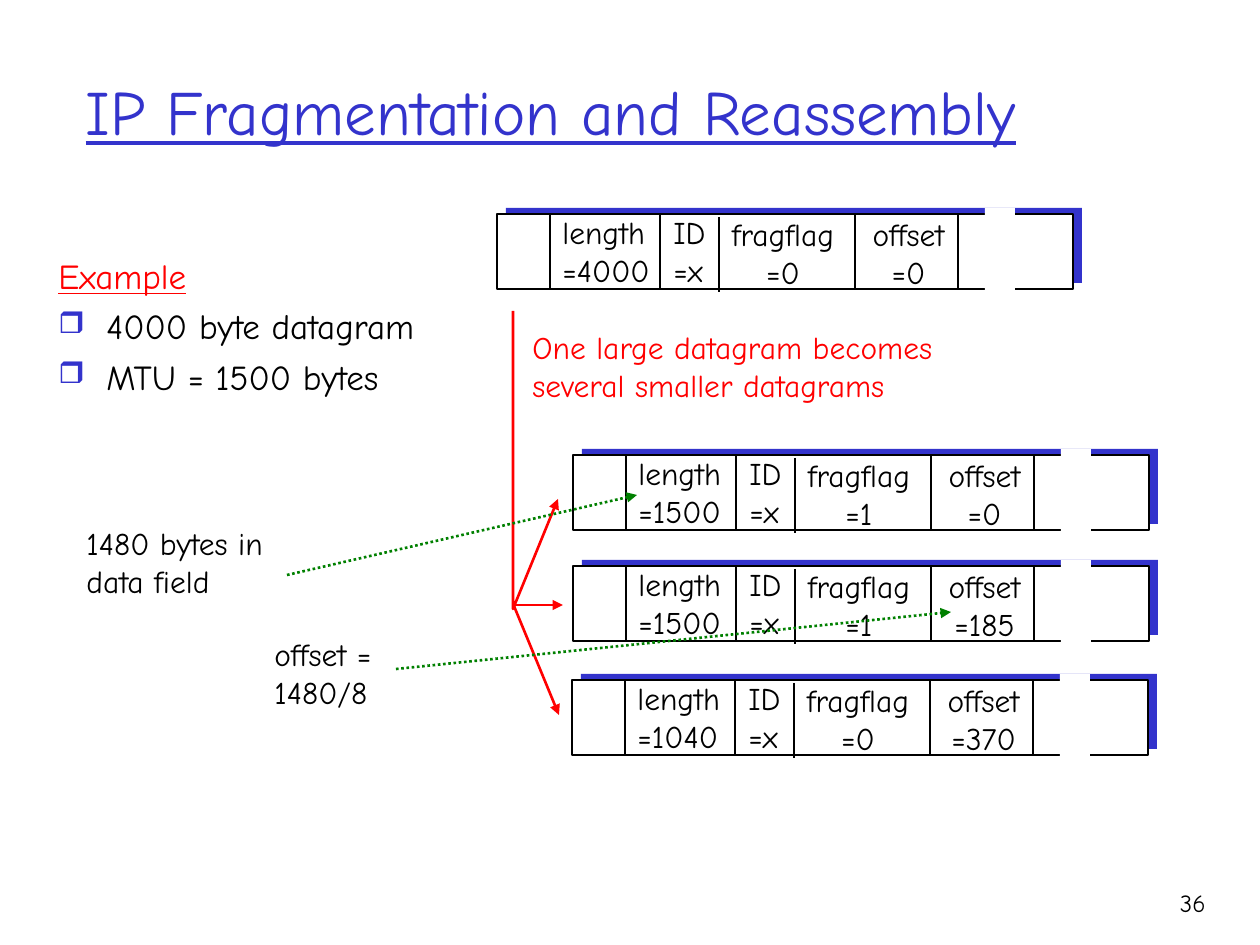
import pptx
import pptx.util
import pptx.dml.color
import pptx.enum.dml
import pptx.enum.shapes
import pptx.enum.text
import pptx.oxml.ns
import lxml.etree

TITLE = "IP Fragmentation and Reassembly"
EXAMPLE = ["Example", "4000 byte datagram", "MTU = 1500 bytes"]
PAGE_NUMBER = "36"
DATAGRAMS = [
    {"at": (497, 214), "length": "4000", "ID": "x", "fragflag": "0", "offset": "0"},
    {"at": (573, 455), "length": "1500", "ID": "x", "fragflag": "1", "offset": "0"},
    {"at": (573, 566), "length": "1500", "ID": "x", "fragflag": "1", "offset": "185"},
    {"at": (572, 680), "length": "1040", "ID": "x", "fragflag": "0", "offset": "370"},
]
FIELDS = [
    ("ID", (164, -7, 62, 88), "left"),
    ("offset", (359, -5, 105, 88), "center"),
    ("fragflag", (216, -5, 140, 88), "center"),
    ("length", (53, -7, 120, 88), "left"),
]
DIVIDERS = [(53, 0), (163, 0), (222, 3), (358, 0), (461, 0)]
BODY = (576, 75)
SHADOW_SHIFT = (9, -6)
GAP = (488, -6, 30, 83)
LABELS = [
    ("One large datagram becomes\nseveral smaller datagrams", (520, 322, 440, 88), "accent"),
    ("1480 bytes in\vdata field", (74, 518, 220, 88), "text"),
    ("offset =\n1480/8", (262, 629, 135, 88), "text"),
]
SPLIT_PATH = [(513, 311), (513, 609), (558, 499)]
SPLIT_ARROWS = [((513, 605), (563, 605)), ((514, 606), (559, 715))]
NOTE_ARROWS = [((287, 575), (637, 495)), ((396, 669), (951, 612))]

THEME = {
    "font": "Comic Neue",
    "color": {"title": "3333CC", "text": "000000", "accent": "FF0000",
              "note": "008000", "paper": "FFFFFF"},
    "size": {"title": 36, "example": 20, "label": 18, "number": 14},
    "line": 1.5,
}
ALIGN = {
    "left": pptx.enum.text.PP_ALIGN.LEFT,
    "center": pptx.enum.text.PP_ALIGN.CENTER,
    "right": pptx.enum.text.PP_ALIGN.RIGHT,
}
PX = 914400 / 126


def emu(*lengths):
    return [pptx.util.Emu(round(length * PX)) for length in lengths]


def color(name):
    return pptx.dml.color.RGBColor.from_string(THEME["color"][name])


def add_element(parent, tag, **attributes):
    return lxml.etree.SubElement(parent, pptx.oxml.ns.qn(tag), attributes)


def style_para(para, size, ink, align="left", underline=False):
    para.alignment = ALIGN[align]
    for span in para.runs:
        span.font.name = THEME["font"]
        span.font.size = pptx.util.Pt(THEME["size"][size])
        span.font.color.rgb = color(ink)
        span.font.underline = underline


def add_label(shapes, text, area, ink="text", align="left", size="label"):
    box = shapes.add_textbox(*emu(*area))
    frame = box.text_frame
    frame.word_wrap = True
    frame.text = text
    for para in frame.paragraphs:
        style_para(para, size, ink, align)
    return box


def add_box(shapes, area, fill, outline=None):
    box = shapes.add_shape(pptx.enum.shapes.MSO_SHAPE.RECTANGLE, *emu(*area))
    box.shadow.inherit = False
    box.fill.solid()
    box.fill.fore_color.rgb = color(fill)
    if outline:
        style_line(box.line, outline)
    else:
        box.line.fill.background()


def style_line(line, ink, arrow=False, dotted=False):
    line.color.rgb = color(ink)
    line.width = pptx.util.Pt(THEME["line"])
    if dotted:
        line.dash_style = pptx.enum.dml.MSO_LINE.ROUND_DOT
    if arrow:
        add_element(line._get_or_add_ln(), "a:tailEnd", type="triangle")


def add_line(shapes, start, end, ink, **style):
    line = shapes.add_connector(
        pptx.enum.shapes.MSO_CONNECTOR.STRAIGHT, *emu(*start, *end))
    style_line(line.line, ink, **style)
    add_element(line._element.spPr, "a:effectLst")


def add_datagram(page, datagram):
    left, top = datagram["at"]
    shapes = page.shapes.add_group_shape().shapes

    def place(x, y, *size):
        return (left + x, top + y, *size)

    add_box(shapes, place(*SHADOW_SHIFT, *BODY), "title")
    add_box(shapes, place(0, 0, *BODY), "paper", "text")
    for name, area, align in FIELDS:
        add_label(shapes, f"{name}\n={datagram[name]}", place(*area), align=align)
    for x, y in DIVIDERS:
        add_line(shapes, place(x, y), place(x, y + BODY[1]), "text")
    add_box(shapes, place(*GAP), "paper")


def add_split(page):
    shapes = page.shapes.add_group_shape().shapes
    builder = shapes.build_freeform(*SPLIT_PATH[0], scale=PX)
    builder.add_line_segments(SPLIT_PATH[1:], close=False)
    path = builder.convert_to_shape()
    path.shadow.inherit = False
    path.fill.background()
    style_line(path.line, "accent", arrow=True)
    for start, end in SPLIT_ARROWS:
        add_line(shapes, start, end, "accent", arrow=True)


def add_title(page):
    title = page.shapes.title
    title.left, title.top, title.width, title.height = emu(73, 31, 1071, 158)
    frame = title.text_frame
    frame.text = TITLE
    frame.auto_size = pptx.enum.text.MSO_AUTO_SIZE.NONE
    frame.vertical_anchor = pptx.enum.text.MSO_ANCHOR.MIDDLE
    style_para(frame.paragraphs[0], "title", "title", underline=True)


def add_example(page):
    box = add_label(page.shapes, "\n".join(EXAMPLE), (46, 248, 391, 232), size="example")
    heading, *items = box.text_frame.paragraphs
    style_para(heading, "example", "accent", underline=True)
    indent = emu(48)[0]
    for para in (heading, *items):
        properties = para._p.get_or_add_pPr()
        properties.set("marL", str(indent))
        properties.set("indent", str(-indent))
    for para in items:
        para.space_before = pptx.util.Pt(5)
        properties = para._p.get_or_add_pPr()
        bullet_color = add_element(properties, "a:buClr")
        add_element(bullet_color, "a:srgbClr", val=THEME["color"]["title"])
        add_element(properties, "a:buSzPct", val="85000")
        add_element(properties, "a:buChar", char="❒")


def main():
    deck = pptx.Presentation()
    deck.slide_width, deck.slide_height = emu(1260, 945)
    page = deck.slides.add_slide(deck.slide_layouts[5])
    add_title(page)
    for datagram in DATAGRAMS:
        add_datagram(page, datagram)
    add_split(page)
    add_example(page)
    for text, area, ink in LABELS:
        add_label(page.shapes, text, area, ink)
    for start, end in NOTE_ARROWS:
        add_line(page.shapes, start, end, "note", arrow=True, dotted=True)
    add_label(page.shapes, PAGE_NUMBER, (1125, 882, 93, 63), align="right", size="number")
    deck.save("out.pptx")


if __name__ == "__main__":
    main()
